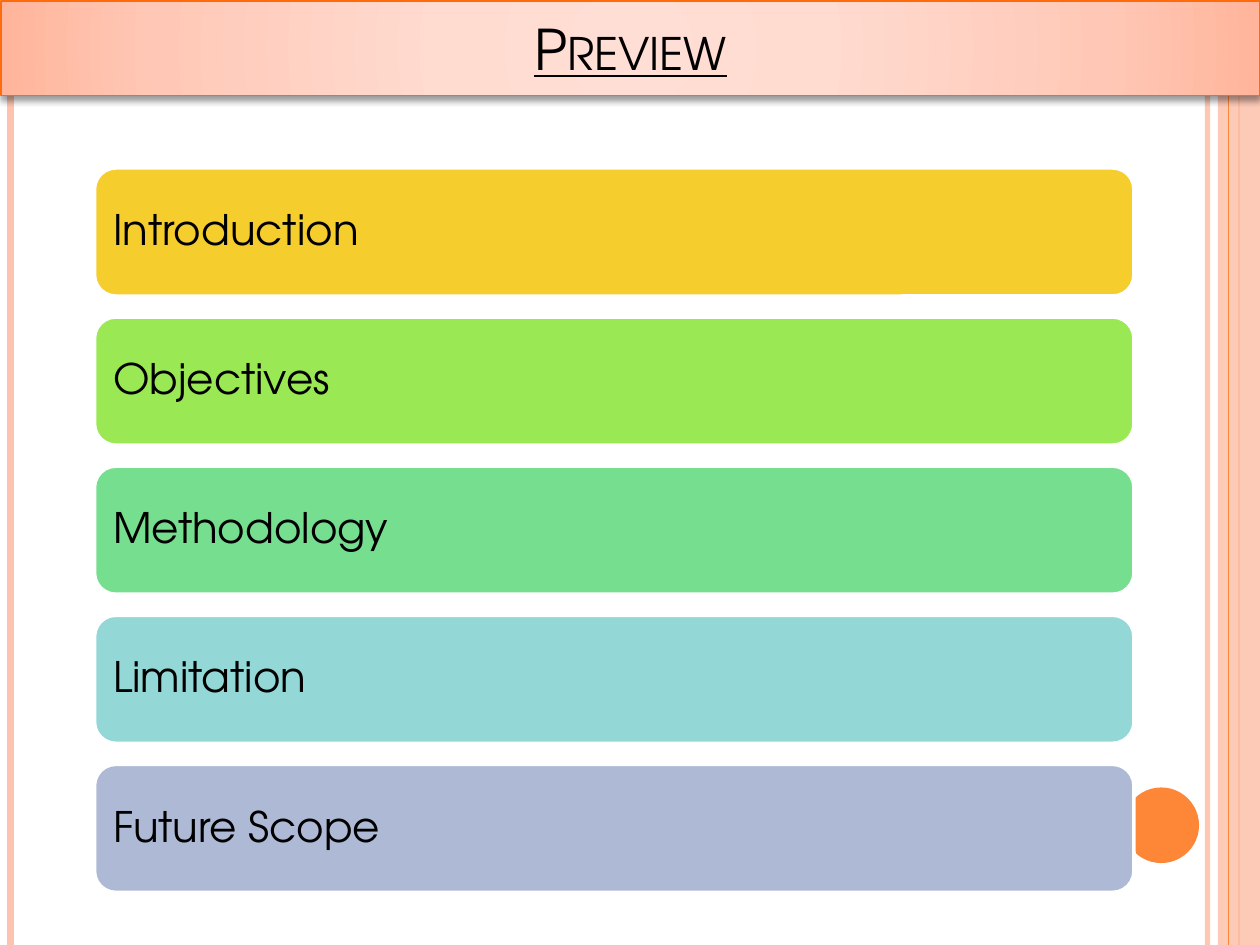
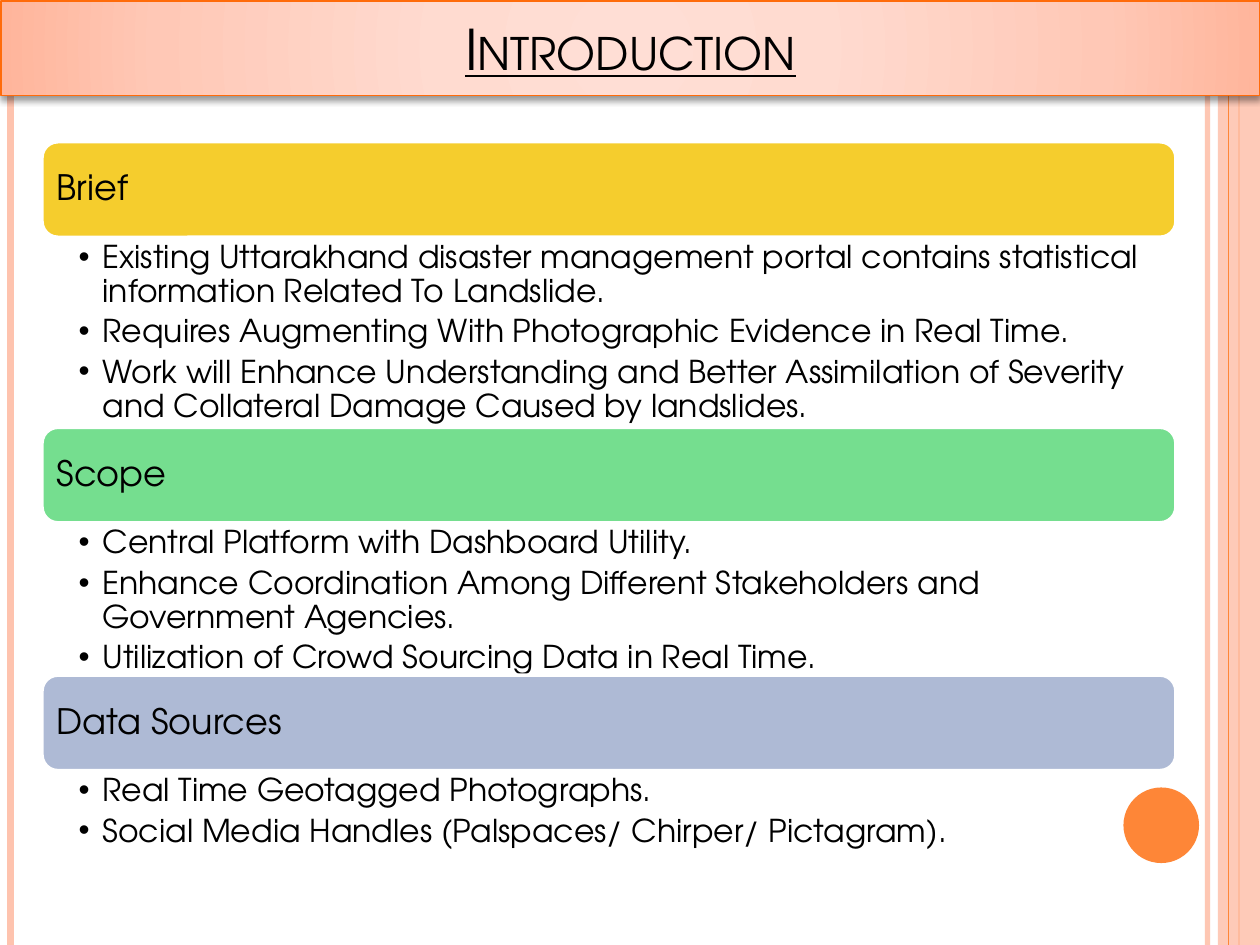
from dataclasses import dataclass

from lxml import etree
from pptx import Presentation
from pptx.dml.color import RGBColor
from pptx.enum.shapes import MSO_CONNECTOR, MSO_SHAPE
from pptx.enum.text import MSO_ANCHOR, MSO_AUTO_SIZE, PP_ALIGN
from pptx.oxml import parse_xml
from pptx.oxml.ns import qn
from pptx.util import Inches, Pt

STRAIGHT = MSO_CONNECTOR.STRAIGHT
RECT, ROUNDED, OVAL = MSO_SHAPE.RECTANGLE, MSO_SHAPE.ROUNDED_RECTANGLE, MSO_SHAPE.OVAL
TOP, MIDDLE = MSO_ANCHOR.TOP, MSO_ANCHOR.MIDDLE
LEFT, CENTER = PP_ALIGN.LEFT, PP_ALIGN.CENTER
DRAWING = 'xmlns:a="http://schemas.openxmlformats.org/drawingml/2006/main"'


@dataclass(frozen=True)
class Theme:
    font: str = "TeX Gyre Adventor"
    ink: str = "000000"
    paper: str = "FFFFFF"
    peach: str = "FEC3AE"
    orange: str = "FE8637"
    banner_edge: str = "FF6B0A"
    banner_stops: tuple = ((0, "FFDED5"), (30, "FFDBD0"), (75, "FFC8B6"), (100, "FFB59B"))
    yellow: str = "F5CD2D"
    lime: str = "9AE853"
    green: str = "75DE8F"
    aqua: str = "93D8D6"
    lavender: str = "AEBAD5"
    title_size: int = 32
    agenda_size: int = 24
    heading_size: int = 20
    list_size: int = 18


theme = Theme()
rgb = RGBColor.from_string
prs = Presentation()
prs.slide_width, prs.slide_height = Inches(10), Inches(7.5)
CELL = prs.slide_width / 120  # grid of 120 columns by 90 rows
COLUMNS, ROWS = 120, 90


def cells(*counts):
    """Turn grid counts into lengths."""
    return [round(count * CELL) for count in counts]


def style_text(frame, size, anchor, insets, align=LEFT, line_spacing=0.9, space_after=0):
    """Format all text of a frame; insets run left, top, right, bottom, in inches."""
    frame.word_wrap = True
    frame.auto_size = MSO_AUTO_SIZE.NONE
    frame.vertical_anchor = anchor
    frame.margin_left, frame.margin_top, frame.margin_right, frame.margin_bottom = map(Inches, insets)
    for paragraph in frame.paragraphs:
        paragraph.alignment = align
        paragraph.line_spacing = line_spacing
        paragraph.space_before, paragraph.space_after = Pt(0), Pt(space_after)
        for run in paragraph.runs:
            run.font.name, run.font.size, run.font.bold = theme.font, Pt(size), False
            run.font.color.rgb = rgb(theme.ink)


preview = prs.slides.add_slide(prs.slide_layouts[5])
introduction = prs.slides.add_slide(prs.slide_layouts[4])

# Side rails and dot, built once and moved to the slide master
rails = [(115, theme.peach, 3), (1, theme.peach, 4.5), (118, theme.orange, 1.5), (117, theme.orange, 0.75)]
frame_parts = []
for column, colour, weight in rails:
    rail = preview.shapes.add_connector(STRAIGHT, *cells(column, 0, column, ROWS))
    rail.line.color.rgb, rail.line.width = rgb(colour), Pt(weight)
    etree.SubElement(rail._element.spPr, qn("a:effectLst"))
    frame_parts.append(rail)

panel = preview.shapes.add_shape(RECT, *cells(116, 0, 4, ROWS))
dot = preview.shapes.add_shape(OVAL, *cells(107, 75, 7.2, 7.2))
for part, colour in ((panel, theme.peach), (dot, theme.orange)):
    part.shadow.inherit = False
    part.fill.solid()
    part.fill.fore_color.rgb = rgb(colour)
    part.line.fill.background()
frame_parts.insert(3, panel)
frame_parts.append(dot)

for part, opacity in ((frame_parts[0], 93), (panel, 87)):
    colour_node = part._element.xpath(".//a:srgbClr")[0]
    etree.SubElement(colour_node, qn("a:alpha"), val=str(opacity * 1000))

master_tree = prs.slide_master.shapes._spTree
for order, part in enumerate(frame_parts):
    part._element.xpath(".//p:cNvPr")[0].set("id", str(100 + order))
    master_tree.insert(2 + order, part._element)

# Title banners
stops = "".join(
    f'<a:gs pos="{share * 1000}"><a:srgbClr val="{colour}"/></a:gs>' for share, colour in theme.banner_stops
)
banner_fill = (
    f'<a:gradFill {DRAWING} rotWithShape="1"><a:gsLst>{stops}</a:gsLst><a:path path="circle">'
    '<a:fillToRect l="50000" t="50000" r="50000" b="50000"/></a:path></a:gradFill>'
)
banner_shadow = (
    f'<a:effectLst {DRAWING}><a:outerShdw blurRad="{Pt(4)}" dist="{Pt(2)}" dir="5400000" rotWithShape="0">'
    f'<a:srgbClr val="{theme.ink}"><a:alpha val="40000"/></a:srgbClr></a:outerShdw></a:effectLst>'
)
for slide, heading in ((preview, "Preview"), (introduction, "Introduction")):
    banner = slide.shapes.title
    banner.left, banner.top, banner.width, banner.height = cells(0.1, 0.1, COLUMNS - 0.1, 9)
    banner._element.spPr.append(parse_xml(banner_fill))
    banner.line.color.rgb, banner.line.width = rgb(theme.banner_edge), Pt(1)
    banner._element.spPr.append(parse_xml(banner_shadow))
    banner.text_frame.text = heading
    style_text(banner.text_frame, theme.title_size, MIDDLE, (0.1, 0.05, 0.1, 0.05), CENTER, 1.0)
    title_font = banner.text_frame.paragraphs[0].runs[0].font
    title_font.underline = True
    title_font._element.set("cap", "small")

# Agenda bars at an equal pitch
agenda = [
    ("Introduction", theme.yellow),
    ("Objectives", theme.lime),
    ("Methodology", theme.green),
    ("Limitation", theme.aqua),
    ("Future Scope", theme.lavender),
]
AGENDA_TOP, AGENDA_PITCH, AGENDA_HEIGHT = 16, 14.2, 12.2
bars = [
    (preview, topic, colour, (9, AGENDA_TOP + index * AGENDA_PITCH, 99, AGENDA_HEIGHT), theme.agenda_size, 0.1)
    for index, (topic, colour) in enumerate(agenda)
]

# Sections stacked as heading bar and list
sections = [
    ("Brief", theme.yellow, 18.1, [
        "Existing Uttarakhand disaster management portal contains statistical information Related To Landslide.",
        "Requires Augmenting With Photographic Evidence in Real Time.",
        "Work will Enhance Understanding and Better Assimilation of Severity and Collateral Damage "
        "Caused by landslides.",
    ]),
    ("Scope", theme.green, 14.5, [
        "Central Platform with Dashboard Utility.",
        "Enhance Coordination Among Different Stakeholders and Government Agencies.",
        "Utilization of Crowd Sourcing Data in Real Time.",
    ]),
    ("Data Sources", theme.lavender, 8, [
        "Real Time Geotagged Photographs.",
        "Social Media Handles (Palspaces/ Chirper/ Pictagram).",
    ]),
]
SECTION_LEFT, SECTION_WIDTH, HEADING_HEIGHT = 4, 108, 9.1
row = 13.5
list_holders = list(introduction.placeholders)[1:]
for (heading, colour, list_height, points), holder in zip(sections, list_holders):
    bars.append((introduction, heading, colour, (SECTION_LEFT, row, SECTION_WIDTH, HEADING_HEIGHT),
                 theme.heading_size, 0.08))
    row += HEADING_HEIGHT
    holder.left, holder.top, holder.width, holder.height = cells(SECTION_LEFT, row, SECTION_WIDTH, list_height)
    row += list_height
    holder.text_frame.text = "\n".join(points)
    style_text(holder.text_frame, theme.list_size, TOP, (0.29, 0.03, 0.14, 0.03), space_after=3.6)
    for paragraph in holder.text_frame.paragraphs:
        paragraph.level = 1
        properties = paragraph._p.get_or_add_pPr()
        properties.set("marL", str(Inches(0.19)))
        properties.set("indent", str(-Inches(0.19)))
        etree.SubElement(properties, qn("a:buChar"), char="•")

for unused in list_holders[len(sections):]:
    unused._element.getparent().remove(unused._element)

for slide, label, colour, area, size, inset in bars:
    bar = slide.shapes.add_shape(ROUNDED, *cells(*area))
    bar.shadow.inherit = False
    bar.fill.solid()
    bar.fill.fore_color.rgb = rgb(colour)
    bar.line.color.rgb, bar.line.width = rgb(theme.paper), Pt(2)
    bar.text_frame.text = label
    style_text(bar.text_frame, size, MIDDLE, [inset] * 4)

prs.save("out.pptx")
